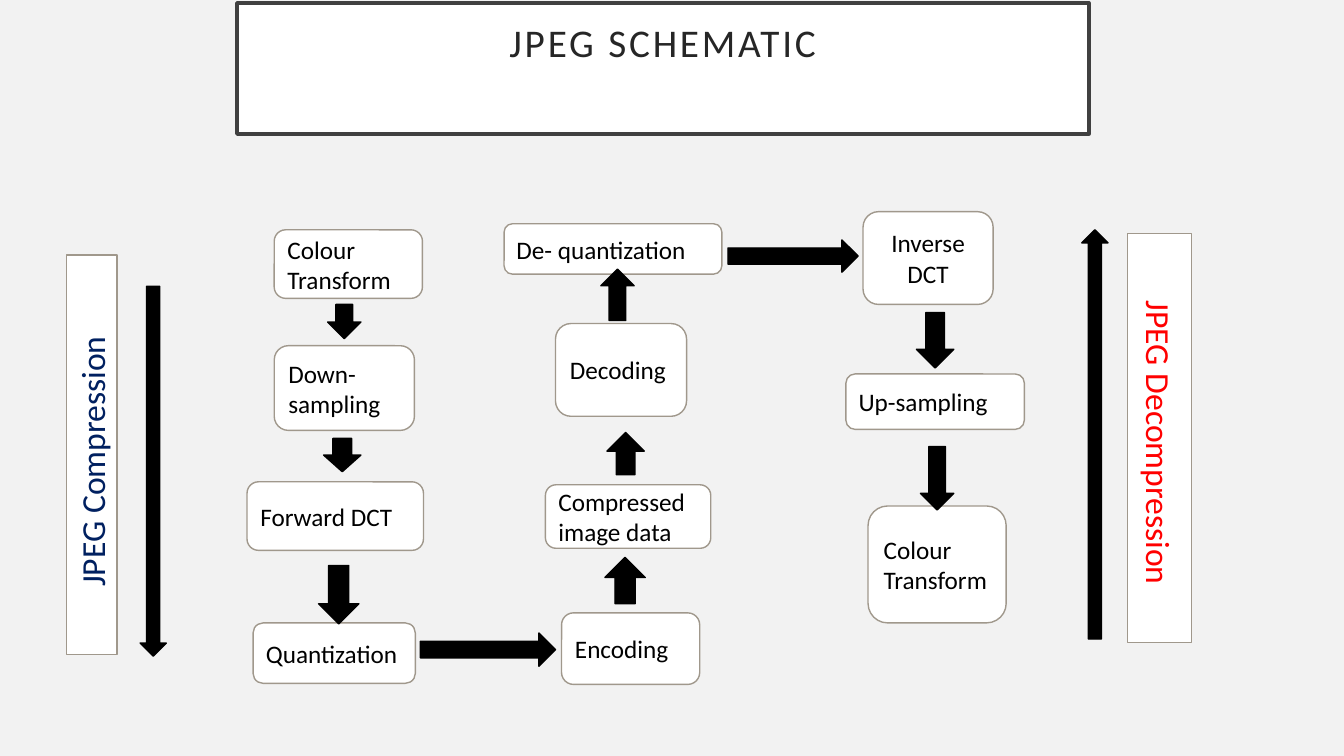
from pptx import Presentation
from pptx.dml.color import RGBColor
from pptx.enum.shapes import MSO_SHAPE
from pptx.enum.text import MSO_ANCHOR, MSO_AUTO_SIZE, PP_ALIGN
from pptx.util import Inches, Pt

BACKGROUND = RGBColor(0xF2, 0xF2, 0xF2)
WHITE = RGBColor(0xFF, 0xFF, 0xFF)
BLACK = RGBColor(0x00, 0x00, 0x00)
TITLE_TEXT = RGBColor(0x26, 0x26, 0x26)
TITLE_LINE = RGBColor(0x40, 0x40, 0x40)
BOX_LINE = RGBColor(0xA0, 0x98, 0x8C)
NAVY = RGBColor(0x00, 0x20, 0x60)
RED = RGBColor(0xFF, 0x00, 0x00)
FONT = "Calibri"

STEPS = [
    ("Colour Transform", 2.72, 2.28, 1.47, 0.68),
    ("Down- sampling", 2.72, 3.43, 1.39, 0.84),
    ("Forward DCT", 2.45, 4.78, 1.75, 0.68),
    ("Quantization", 2.51, 6.18, 1.61, 0.6),
    ("Encoding", 5.57, 6.08, 1.37, 0.71),
    ("Compressed image data", 5.41, 4.81, 1.64, 0.63),
    ("Decoding", 5.51, 3.21, 1.3, 0.92),
    ("De- quantization", 5, 2.22, 2.16, 0.5),
    ("Inverse DCT", 8.56, 2.1, 1.29, 0.92),
    ("Up-sampling", 8.39, 3.71, 1.77, 0.55),
    ("Colour Transform", 8.61, 5.02, 1.37, 1.16),
]
CENTRED_STEPS = {"Inverse DCT"}

ARROWS = {
    MSO_SHAPE.DOWN_ARROW: [
        (3.25, 3.02, 0.33, 0.34),
        (3.21, 4.35, 0.37, 0.33),
        (3.16, 5.61, 0.4, 0.58),
        (9.09, 3.1, 0.37, 0.55),
        (9.13, 4.43, 0.33, 0.63),
        (1.39, 2.84, 0.26, 3.67),
    ],
    MSO_SHAPE.UP_ARROW: [
        (6, 5.53, 0.4, 0.46),
        (6.02, 4.29, 0.37, 0.42),
        (5.96, 2.67, 0.33, 0.51),
        (10.73, 2.28, 0.26, 4.06),
    ],
    MSO_SHAPE.RIGHT_ARROW: [
        (4.17, 6.28, 1.34, 0.33),
        (7.22, 2.38, 1.29, 0.32),
    ],
}


def set_all(target, values):
    for name, value in values.items():
        setattr(target, name, value)


def paint(shape, fill, line, width):
    shape.fill.solid()
    shape.fill.fore_color.rgb = fill
    shape.line.color.rgb = line
    shape.line.width = Pt(width)


def write(shape, text, size, color, align):
    para = shape.text_frame.paragraphs[0]
    para.alignment = align
    span = para.add_run()
    span.text = text
    set_all(span.font, {"name": FONT, "size": Pt(size)})
    span.font.color.rgb = color
    return para, span


def add_figure(page, kind, bounds, fill, line):
    shape = page.shapes.add_shape(kind, *map(Inches, bounds))
    shape.shadow.inherit = False
    paint(shape, fill, line, 1)
    return shape


def add_title(page):
    title = page.shapes.title
    set_all(title, {"left": Inches(2.35), "top": Inches(0.03),
                    "width": Inches(8.45), "height": Inches(1.3)})
    paint(title, WHITE, TITLE_LINE, 2.5)
    sides = ("left", "top", "right", "bottom")
    set_all(title.text_frame, {f"margin_{side}": Inches(0.2) for side in sides})
    set_all(title.text_frame, {"vertical_anchor": MSO_ANCHOR.TOP, "word_wrap": True,
                               "auto_size": MSO_AUTO_SIZE.NONE})
    para, span = write(title, "JPEG SCHEMATIC", 28, TITLE_TEXT, PP_ALIGN.CENTER)
    para.line_spacing = 0.9
    span.font._element.set("spc", "200")


def add_step(page, text, *bounds):
    box = add_figure(page, MSO_SHAPE.ROUNDED_RECTANGLE, bounds, WHITE, BOX_LINE)
    align = PP_ALIGN.CENTER if text in CENTRED_STEPS else PP_ALIGN.LEFT
    write(box, text, 18, BLACK, align)


def add_side_label(page, text, bounds, rotation, color):
    label = add_figure(page, MSO_SHAPE.RECTANGLE, bounds, WHITE, BOX_LINE)
    label.rotation = rotation
    label.text_frame.margin_left = Inches(0.67)
    write(label, text, 24, color, PP_ALIGN.JUSTIFY)


def main():
    deck = Presentation()
    set_all(deck, {"slide_width": Inches(13.33), "slide_height": Inches(7.5)})
    page = deck.slides.add_slide(deck.slide_layouts[5])
    page.background.fill.solid()
    page.background.fill.fore_color.rgb = BACKGROUND

    add_title(page)
    for step in STEPS:
        add_step(page, *step)
    add_side_label(page, "JPEG Decompression", (9.47, 4.03, 4.06, 0.63), 90, RED)
    add_side_label(page, "JPEG Compression", (-1.07, 4.26, 3.96, 0.5), 270, NAVY)
    for kind, places in ARROWS.items():
        for bounds in places:
            add_figure(page, kind, bounds, BLACK, BLACK)

    deck.save("out.pptx")


if __name__ == "__main__":
    main()
